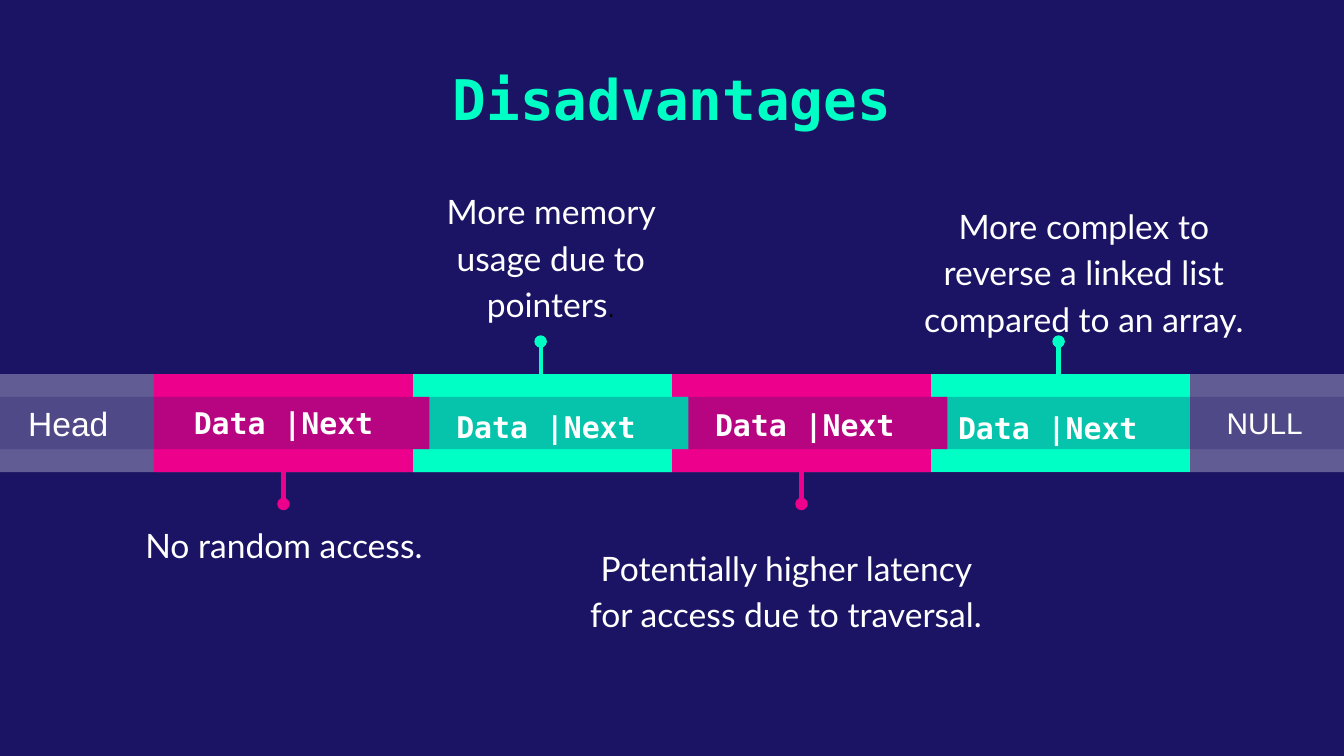
"""Builds a slide that shows the disadvantages of linked lists along a chain of nodes."""
from lxml.etree import SubElement
from pptx import Presentation
from pptx.dml.color import RGBColor
from pptx.enum.shapes import MSO_CONNECTOR, MSO_SHAPE
from pptx.enum.text import MSO_ANCHOR, PP_ALIGN
from pptx.oxml.ns import qn
from pptx.util import Pt

NAVY = RGBColor(0x1B, 0x14, 0x64)
MINT = RGBColor(0x00, 0xFF, 0xC5)
PINK = RGBColor(0xEC, 0x00, 0x8C)
WHITE = RGBColor(0xFF, 0xFF, 0xFF)
BLACK = RGBColor(0x00, 0x00, 0x00)
SANS, BODY, MONO = "Arial", "Lato", "DejaVu Sans Mono"

PAGE_WIDTH, PAGE_HEIGHT = 720, 405
BAR_TOP, BAR_BOTTOM = 200.4, 253
STRIP_TOP, STRIP_BOTTOM = 212.6, 240.6
NODE_LEFT, NODE_WIDTH, TAB = 82.5, 138.75, 8.75


class SlideBuilder:
    """Holds the page and draws each kind of element in its style."""

    def __init__(self, page):
        self.page = page
        page.background.fill.solid()
        page.background.fill.fore_color.rgb = NAVY

    def paint(self, shape, color):
        shape.shadow.inherit = False
        shape.fill.solid()
        shape.fill.fore_color.rgb = color
        shape.line.fill.background()

    def band(self, top, bottom, color, opacity):
        band = self.page.shapes.add_shape(
            MSO_SHAPE.RECTANGLE, 0, Pt(top), Pt(PAGE_WIDTH), Pt(bottom - top))
        self.paint(band, color)
        tint = band._element.spPr.find(qn("a:solidFill"))[0]
        SubElement(tint, qn("a:alpha"), val=str(opacity * 1000))

    def node(self, left, color, tab):
        right = left + NODE_WIDTH
        corners = [(left, BAR_BOTTOM), (right, BAR_BOTTOM)]
        if tab:
            corners += [(right, STRIP_BOTTOM), (right + tab, STRIP_BOTTOM),
                        (right + tab, STRIP_TOP), (right, STRIP_TOP)]
        corners.append((right, BAR_TOP))
        outline = self.page.shapes.build_freeform(Pt(left), Pt(BAR_TOP))
        outline.add_line_segments([(Pt(x), Pt(y)) for x, y in corners], close=True)
        self.paint(outline.convert_to_shape(), color)

    def pin(self, x, start, end, color):
        pin = self.page.shapes.add_connector(
            MSO_CONNECTOR.STRAIGHT, Pt(x), Pt(start), Pt(x), Pt(end))
        pin.line.color.rgb = color
        pin.line.width = Pt(2.25)
        SubElement(pin.line._get_or_add_ln(), qn("a:headEnd"), type="oval")
        SubElement(pin._element.spPr, qn("a:effectLst"))

    def text(self, area, spans, inset, align=PP_ALIGN.CENTER,
             anchor=MSO_ANCHOR.TOP, spacing=1.0):
        box = self.page.shapes.add_textbox(*[Pt(length) for length in area])
        frame = box.text_frame
        frame.word_wrap = True
        frame.vertical_anchor = anchor
        frame.margin_left = frame.margin_right = Pt(7.2)
        frame.margin_top = frame.margin_bottom = Pt(inset)
        para = frame.paragraphs[0]
        para.alignment = align
        para.line_spacing = spacing
        for words, font, size, color in spans:
            span = para.add_run()
            span.text = words
            span.font.name = font
            span.font.size = Pt(size)
            span.font.color.rgb = color
            span.font.bold = font == MONO

    def note(self, area, words, anchor, extra=()):
        self.text(area, [(words, BODY, 18, WHITE), *extra], 0,
                  anchor=anchor, spacing=1.15)


def main():
    deck = Presentation()
    deck.slide_width, deck.slide_height = Pt(PAGE_WIDTH), Pt(PAGE_HEIGHT)
    builder = SlideBuilder(deck.slides.add_slide(deck.slide_layouts[6]))

    builder.text((100.8, 27.4, 518.4, 52.6), [("Disadvantages", MONO, 30, MINT)], 7.2)

    builder.band(BAR_TOP, BAR_BOTTOM, WHITE, 31)
    for index in reversed(range(4)):
        builder.node(NODE_LEFT + index * NODE_WIDTH, (PINK, MINT)[index % 2],
                     TAB if index < 3 else 0)
    builder.band(STRIP_TOP, STRIP_BOTTOM, NAVY, 25)

    for index in range(4):
        middle = NODE_LEFT + (index + 0.5) * NODE_WIDTH
        if index % 2:
            builder.pin(middle - 1, 183, BAR_TOP + 0.4, MINT)
        else:
            builder.pin(middle, 270, BAR_BOTTOM - 1, PINK)

    for left, top in ((90.4, 209.4), (231, 211.6), (369.6, 210.8), (499.8, 212.2)):
        builder.text((left, top, 123, 28), [("Data |Next", MONO, 16, WHITE)], 7.2)
    for area, words, size in (((8, 212.4, 73.4, 29), "Head", 18),
                              ((650, 213.2, 62, 26.6), "NULL", 16)):
        builder.text(area, [(words, SANS, size, WHITE)], 3.6, PP_ALIGN.LEFT)

    builder.note((69, 270, 166.3, 40.4), "No random access.", MSO_ANCHOR.MIDDLE)
    builder.note((208, 133.4, 174.2, 40.4), "More memory usage due to pointers",
                 MSO_ANCHOR.BOTTOM, [(".", SANS, 14, BLACK)])
    builder.note((303, 290.2, 236.2, 40.4),
                 "Potentially higher latency for access due to traversal.", MSO_ANCHOR.TOP)
    builder.note((487.4, 141.2, 186.5, 40.4),
                 "More complex to reverse a linked list compared to an array.",
                 MSO_ANCHOR.BOTTOM)

    deck.save("out.pptx")


if __name__ == "__main__":
    main()
